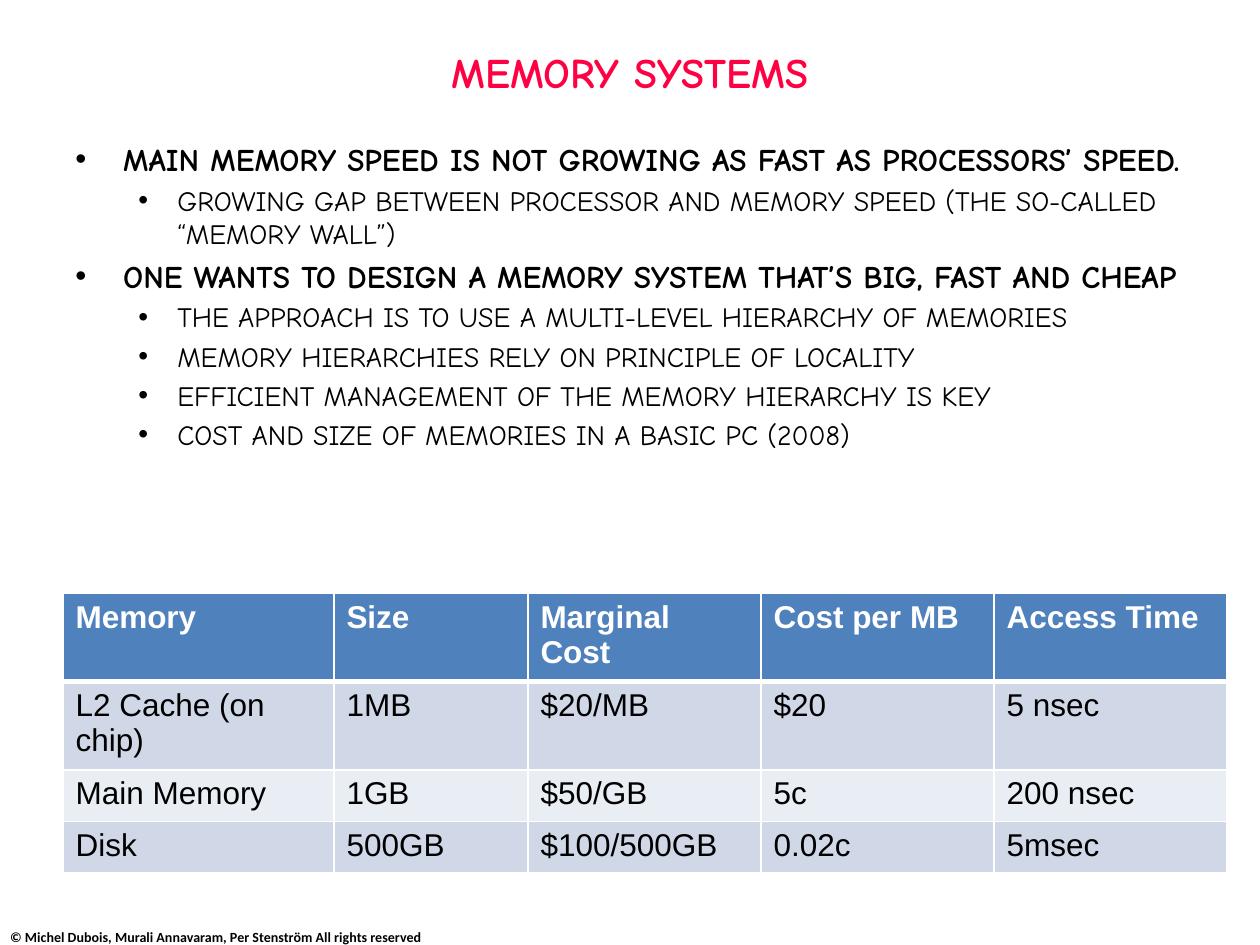
from lxml import etree
from pptx import Presentation, util as u
from pptx.dml.color import RGBColor
from pptx.enum import text as t
from pptx.oxml import ns

# Content
TITLE = "MEMORY SYSTEMS"
FOOTER = "© Michel Dubois, Murali Annavaram, Per Stenström All rights reserved"
BULLETS = [  # (level, text)
    (0, "MAIN MEMORY SPEED IS NOT GROWING AS FAST AS PROCESSORS’ SPEED."),
    (1, "GROWING GAP BETWEEN PROCESSOR AND MEMORY SPEED (THE SO-CALLED “MEMORY WALL”)"),
    (0, "ONE WANTS TO DESIGN A MEMORY SYSTEM THAT’S BIG, FAST AND CHEAP"),
    (1, "THE APPROACH IS TO USE A MULTI-LEVEL HIERARCHY OF MEMORIES"),
    (1, "MEMORY HIERARCHIES RELY ON PRINCIPLE OF LOCALITY"),
    (1, "EFFICIENT MANAGEMENT OF THE MEMORY HIERARCHY IS KEY"),
    (1, "COST AND SIZE OF MEMORIES IN A BASIC PC (2008)"),
]
ROWS = [
    ("Memory", "Size", "Marginal Cost", "Cost per MB", "Access Time"),
    ("L2 Cache (on chip)", "1MB", "$20/MB", "$20", "5 nsec"),
    ("Main Memory", "1GB", "$50/GB", "5c", "200 nsec"),
    ("Disk", "500GB", "$100/500GB", "0.02c", "5msec"),
]

# Style and layout
COLORS = {"title": "FF0043", "text": "000000", "white": "FFFFFF",
          "header": "4F81BD", "odd": "D0D8E8", "even": "E9EDF4"}
LEVELS = [  # size, bold, left margin, hanging indent
    (18, True, 0.38, 0.38),
    (16, False, 0.81, 0.31),
]
WIDTH, HEIGHT = 10, 7.5
MARGIN = 0.05 * WIDTH
BODY_TOP = 1.06
COLUMN_WIDTHS = [2.15, 1.54, 1.85, 1.85, 1.85]
ROW_HEIGHT = 0.41


def style(paragraph, font_name, size, color, bold):
    for run in paragraph.runs:
        run.font.name = font_name
        run.font.size = u.Pt(size)
        run.font.bold = bold
        run.font.color.rgb = RGBColor.from_string(COLORS[color])


def add_text_frame(slide, left, top, width, height, anchor):
    shape = slide.shapes.add_textbox(*map(u.Inches, (left, top, width, height)))
    frame = shape.text_frame
    frame.word_wrap = True
    frame.vertical_anchor = anchor
    return frame


def add_bullet(paragraph, left, hanging):
    properties = paragraph._p.get_or_add_pPr()
    properties.set("marL", str(u.Inches(left)))
    properties.set("indent", str(-u.Inches(hanging)))
    etree.SubElement(properties, ns.qn("a:buFont"), typeface="Arial")
    etree.SubElement(properties, ns.qn("a:buChar"), char="•")


def add_border(cell, side, points):
    line = etree.SubElement(cell._tc.get_or_add_tcPr(), ns.qn(f"a:ln{side}"),
                            w=str(u.Pt(points)))
    fill = etree.SubElement(line, ns.qn("a:solidFill"))
    etree.SubElement(fill, ns.qn("a:srgbClr"), val=COLORS["white"])


def main():
    presentation = Presentation()
    presentation.slide_width = u.Inches(WIDTH)
    presentation.slide_height = u.Inches(HEIGHT)
    slide = presentation.slides.add_slide(presentation.slide_layouts[6])

    # Footer
    frame = add_text_frame(slide, 0.08, 7.32, 4.92, 0.18, t.MSO_ANCHOR.BOTTOM)
    frame.margin_left = frame.margin_bottom = 0
    frame.text = FOOTER
    style(frame.paragraphs[0], "Calibri", 8, "text", True)

    # Title
    frame = add_text_frame(slide, MARGIN, 0.07, WIDTH - 2 * MARGIN, 0.99,
                           t.MSO_ANCHOR.MIDDLE)
    frame.text = TITLE
    frame.paragraphs[0].alignment = t.PP_ALIGN.CENTER
    style(frame.paragraphs[0], "Comic Neue", 24, "title", True)

    # Bullets
    frame = add_text_frame(slide, MARGIN, BODY_TOP, WIDTH - 2 * MARGIN, 5.89,
                           t.MSO_ANCHOR.TOP)
    frame.text = "\n".join(line for _, line in BULLETS)
    for paragraph, (level, _) in zip(frame.paragraphs, BULLETS):
        size, bold, left, hanging = LEVELS[level]
        paragraph.level = level
        paragraph.space_before = u.Pt(0.2 * size)
        add_bullet(paragraph, left, hanging)
        style(paragraph, "Comic Neue", size, "text", bold)

    # Memory table
    table = slide.shapes.add_table(
        len(ROWS), len(COLUMN_WIDTHS), u.Inches(MARGIN), u.Inches(4.71),
        u.Inches(sum(COLUMN_WIDTHS)), u.Inches(ROW_HEIGHT * len(ROWS))).table
    for column, width in zip(table.columns, COLUMN_WIDTHS):
        column.width = u.Inches(width)
    for r, row in enumerate(ROWS):
        is_header = r == 0
        fill = "header" if is_header else "odd" if r % 2 else "even"
        borders = {"L": 1, "R": 1, "T": 3 if r == 1 else 1, "B": 3 if is_header else 1}
        for c, value in enumerate(row):
            cell = table.cell(r, c)
            for side, points in borders.items():
                add_border(cell, side, points)
            cell.fill.solid()
            cell.fill.fore_color.rgb = RGBColor.from_string(COLORS[fill])
            cell.text_frame.text = value
            style(cell.text_frame.paragraphs[0], "Arial", 18,
                  "white" if is_header else "text", is_header)

    presentation.save("out.pptx")


if __name__ == "__main__":
    main()
